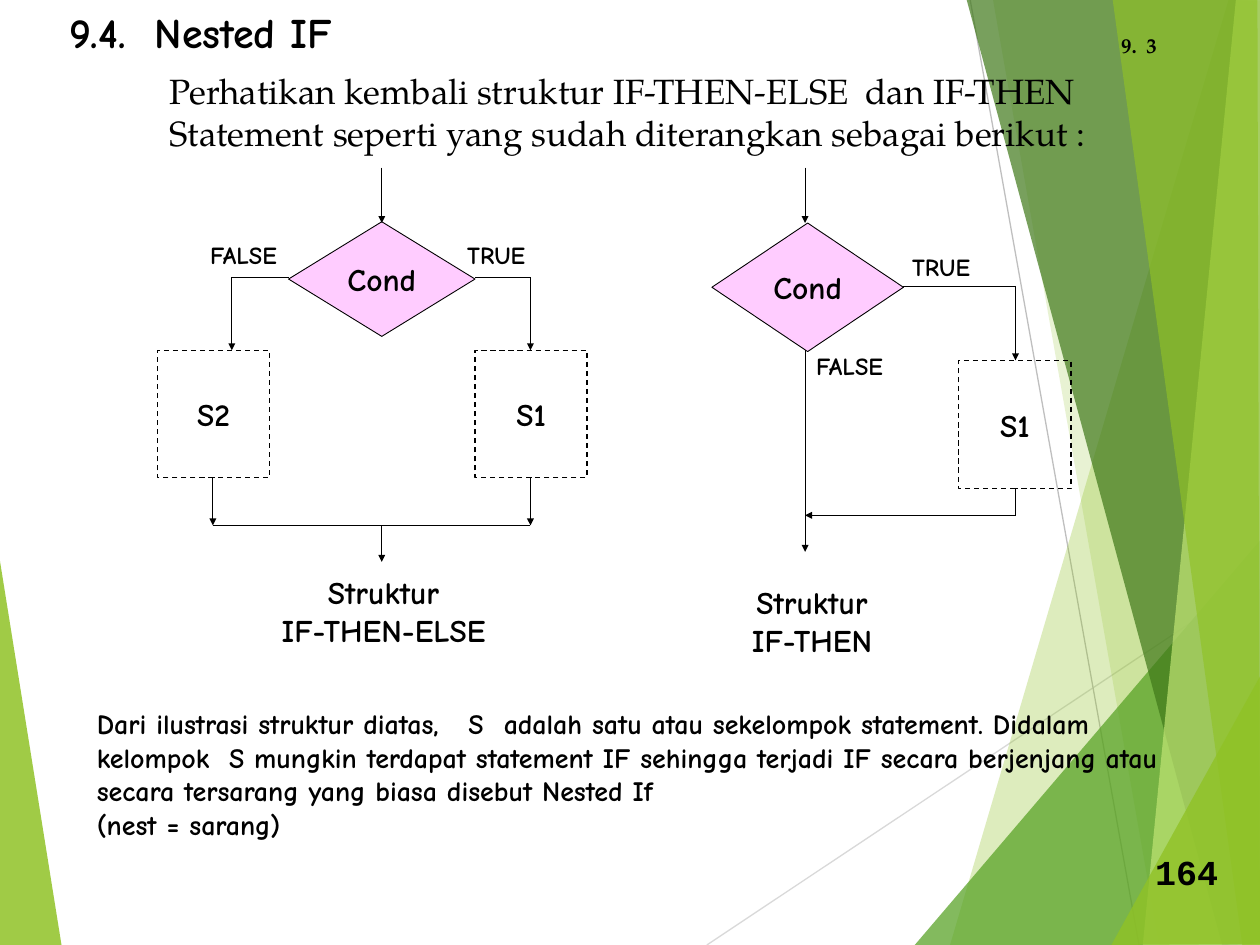
from lxml import etree
from pptx import Presentation
from pptx.dml.color import RGBColor
from pptx.enum.dml import MSO_LINE
from pptx.enum.shapes import MSO_CONNECTOR, MSO_SHAPE
from pptx.enum.text import MSO_ANCHOR, PP_ALIGN
from pptx.oxml.ns import qn
from pptx.util import Inches, Pt

BLACK = RGBColor(0, 0, 0)
PINK = RGBColor(0xFF, 0xCC, 0xFF)
LIME = RGBColor(0x90, 0xC2, 0x26)
GREEN = RGBColor(0x54, 0xA0, 0x21)
DARK_GREEN = RGBColor(0x3F, 0x78, 0x19)
PALE_LIME = RGBColor(0xC0, 0xE4, 0x74)
GRAY = RGBColor(0xBF, 0xBF, 0xBF)
LIGHT_GRAY = RGBColor(0xD9, 0xD9, 0xD9)

HAND = "Comic Neue"
SERIF = "TeX Gyre Pagella"
MONO = "Courier New"
STRAIGHT = MSO_CONNECTOR.STRAIGHT
DECISION = MSO_SHAPE.FLOWCHART_DECISION
RECTANGLE = MSO_SHAPE.RECTANGLE
DASH = MSO_LINE.DASH
LEFT, CENTER = PP_ALIGN.LEFT, PP_ALIGN.CENTER
MIDDLE = MSO_ANCHOR.MIDDLE

# Translucent facets: colour, opacity in percent, corner points
FACETS = [
    (LIME, 85, [(-0.01, 4.39), (0.49, 7.51), (-0.01, 7.5)]),
    (LIME, 30, [(9.75, 0), (7.54, 7.5), (10.02, 7.51), (10.01, 0.01)]),
    (LIME, 20, [(7.88, -0.01), (9.2, 7.5), (10.01, 7.5), (10.01, -0.01)]),
    (GREEN, 72, [(7.26, 7.5), (10, 4.29), (10.01, 7.5)]),
    (DARK_GREEN, 70, [(7.67, -0.01), (9.7, 7.5), (10.01, 7.49), (10.01, -0.01)]),
    (PALE_LIME, 70, [(9.81, -0.01), (9.07, 7.5), (10.01, 7.5), (10, -0.01)]),
    (LIME, 65, [(8.83, -0.01), (9.86, 7.5), (10, 7.5), (9.98, -0.01)]),
    (LIME, 80, [(8.82, 7.5), (10.01, 5.35), (10.01, 7.49)]),
]


def write(frame, text, size, font=HAND, bold=True, align=LEFT):
    frame.text = text
    for paragraph in frame.paragraphs:
        paragraph.alignment = align
        for run in paragraph.runs:
            run.font.size = Pt(size)
            run.font.name = font
            run.font.bold = bold
            run.font.color.rgb = BLACK


def add_text(slide, box, text, size, font=HAND, bold=True, align=LEFT, wrap=False,
             tabs=()):
    label = slide.shapes.add_textbox(*map(Inches, box))
    label.text_frame.word_wrap = wrap
    write(label.text_frame, text, size, font, bold, align)
    if tabs:
        properties = label.text_frame.paragraphs[0]._p.get_or_add_pPr()
        stops = etree.SubElement(properties, qn("a:tabLst"))
        for stop in tabs:
            etree.SubElement(stops, qn("a:tab"), pos=str(Inches(stop)), algn="l")


def add_line(slide, start, end, arrow=False, color=BLACK, width=0.5):
    line = slide.shapes.add_connector(STRAIGHT, *map(Inches, (*start, *end)))
    line.line.color.rgb = color
    line.line.width = Pt(width)
    if arrow:
        etree.SubElement(line.line._get_or_add_ln(), qn("a:tailEnd"),
                         type="triangle", w="sm", len="sm")
    etree.SubElement(line._element.spPr, qn("a:effectLst"))


def add_path(slide, *points):
    """Join the points with lines, the last one ending in an arrowhead."""
    for i in range(1, len(points)):
        add_line(slide, points[i - 1], points[i], arrow=i == len(points) - 1)


def add_node(slide, preset, box, text):
    node = slide.shapes.add_shape(preset, *map(Inches, box))
    node.shadow.inherit = False
    node.line.color.rgb = BLACK
    if preset == DECISION:
        node.fill.solid()
        node.fill.fore_color.rgb = PINK
        node.line.width = Pt(0.5)
    else:
        node.fill.background()
        node.line.width = Pt(0.75)
        node.line.dash_style = DASH
    node.text_frame.word_wrap = False
    node.text_frame.vertical_anchor = MIDDLE
    write(node.text_frame, text, 18, align=CENTER)


def add_facet(slide, color, opacity, points):
    corners = [(Inches(x), Inches(y)) for x, y in points]
    builder = slide.shapes.build_freeform(*corners[0])
    builder.add_line_segments(corners[1:], close=True)
    facet = builder.convert_to_shape()
    facet.shadow.inherit = False
    facet.line.fill.background()
    facet.fill.solid()
    facet.fill.fore_color.rgb = color
    tint = facet._element.spPr.find(qn("a:solidFill"))[0]
    etree.SubElement(tint, qn("a:alpha"), val=str(opacity * 1000))


def draw_background(slide):
    add_facet(slide, *FACETS[0])
    add_line(slide, (5.61, 7.5), (10.01, 4.57), color=LIGHT_GRAY, width=0.75)
    add_line(slide, (7.7, 0), (9.04, 7.5), color=GRAY, width=0.75)
    for facet in FACETS[1:]:
        add_facet(slide, *facet)


def draw_if_then_else(slide, left, top):
    def at(x, y):
        return left + x, top + y

    block_w, block_h, block_axis = 0.89, 1.01, 0.44
    false_x, true_x, axis = 0.44, 2.96, 1.78
    branch_y, block_y, join_y = 0.87, 1.45, 2.84

    # Condition and its two branches
    add_node(slide, DECISION, (*at(1.04, 0.43), 1.48, 0.91), "Cond")
    add_path(slide, at(axis, 0), at(axis, 0.44))
    add_path(slide, at(2.52, branch_y), at(true_x, branch_y), at(true_x, block_y))
    add_path(slide, at(1.04, branch_y), at(0.59, branch_y), at(0.59, block_y))
    add_text(slide, (*at(2.36, 0.53), 0.66, 0.34), "TRUE", 14)
    add_text(slide, (*at(0.32, 0.53), 0.74, 0.34), "FALSE", 14)

    # Statement blocks and the join below them
    for center, name in ((false_x, "S2"), (true_x, "S1")):
        add_node(slide, RECTANGLE,
                 (*at(center - block_axis, block_y), block_w, block_h), name)
        add_path(slide, at(center, block_y + block_h), at(center, join_y))
    add_line(slide, at(false_x, join_y), at(true_x, join_y))
    add_path(slide, at(axis, join_y), at(axis, 3.13))
    add_text(slide, (*at(0.88, 3.17), 1.83, 0.7), "Struktur\nIF-THEN-ELSE", 18,
             align=CENTER)


def draw_if_then(slide, left, top):
    def at(x, y):
        return left + x, top + y

    axis, true_x, branch_y, join_y = 0.74, 2.41, 0.94, 2.76

    # Condition, with the false branch running straight down
    add_node(slide, DECISION, (*at(0, 0.44), 1.52, 1.02), "Cond")
    add_path(slide, at(axis, 0), at(axis, 0.44))
    add_path(slide, at(axis, 1.45), at(axis, 3.05))
    add_text(slide, (*at(0.73, 1.41), 0.74, 0.34), "FALSE", 14)

    # True branch through the statement block
    add_path(slide, at(1.52, branch_y), at(true_x, branch_y), at(true_x, 1.53))
    add_text(slide, (*at(1.49, 0.62), 0.66, 0.34), "TRUE", 14)
    add_node(slide, RECTANGLE, (*at(1.96, 1.53), 0.89, 1.02), "S1")
    add_path(slide, at(true_x, 2.55), at(true_x, join_y), at(axis, join_y))
    add_text(slide, (*at(0.21, 3.25), 1.17, 0.7), "Struktur\nIF-THEN", 18,
             align=CENTER)


def draw_heading(slide):
    add_text(slide, (0.45, 0, 2.3, 0.5), "9.4.\tNested IF", 24, tabs=[0.68])
    add_text(slide, (1.25, 0.5, 7.58, 1.1),
             "Perhatikan kembali struktur IF-THEN-ELSE\tdan IF-THEN Statement "
             "seperti yang sudah diterangkan sebagai berikut :",
             20, SERIF, bold=False, wrap=True, tabs=[5.52])


def draw_numbering(slide):
    add_text(slide, (9, 0.21, 0.67, 0.33), "3", 12, SERIF, wrap=True)
    add_text(slide, (8.8, 0.21, 0.34, 0.3), "9.", 12, SERIF)
    add_text(slide, (9.07, 6.7, 0.7, 0.44), "164", 20, MONO)


def draw_explanation(slide):
    add_text(slide, (0.67, 5.56, 8.83, 1.17),
             "Dari ilustrasi struktur diatas,\tS\tadalah satu atau sekelompok "
             "statement. Didalam kelompok\tS mungkin terdapat statement IF "
             "sehingga terjadi IF secara berjenjang atau secara tersarang "
             "yang biasa disebut Nested If\n(nest = sarang)",
             16, wrap=True, tabs=[1.05, 2.95, 3.23])


def main():
    deck = Presentation()
    deck.slide_width, deck.slide_height = Inches(10), Inches(7.5)
    slide = deck.slides.add_slide(deck.slide_layouts[6])
    draw_background(slide)
    draw_heading(slide)
    draw_if_then_else(slide, 1.25, 1.33)
    draw_if_then(slide, 5.65, 1.33)
    draw_numbering(slide)
    draw_explanation(slide)
    deck.save("out.pptx")


if __name__ == "__main__":
    main()
